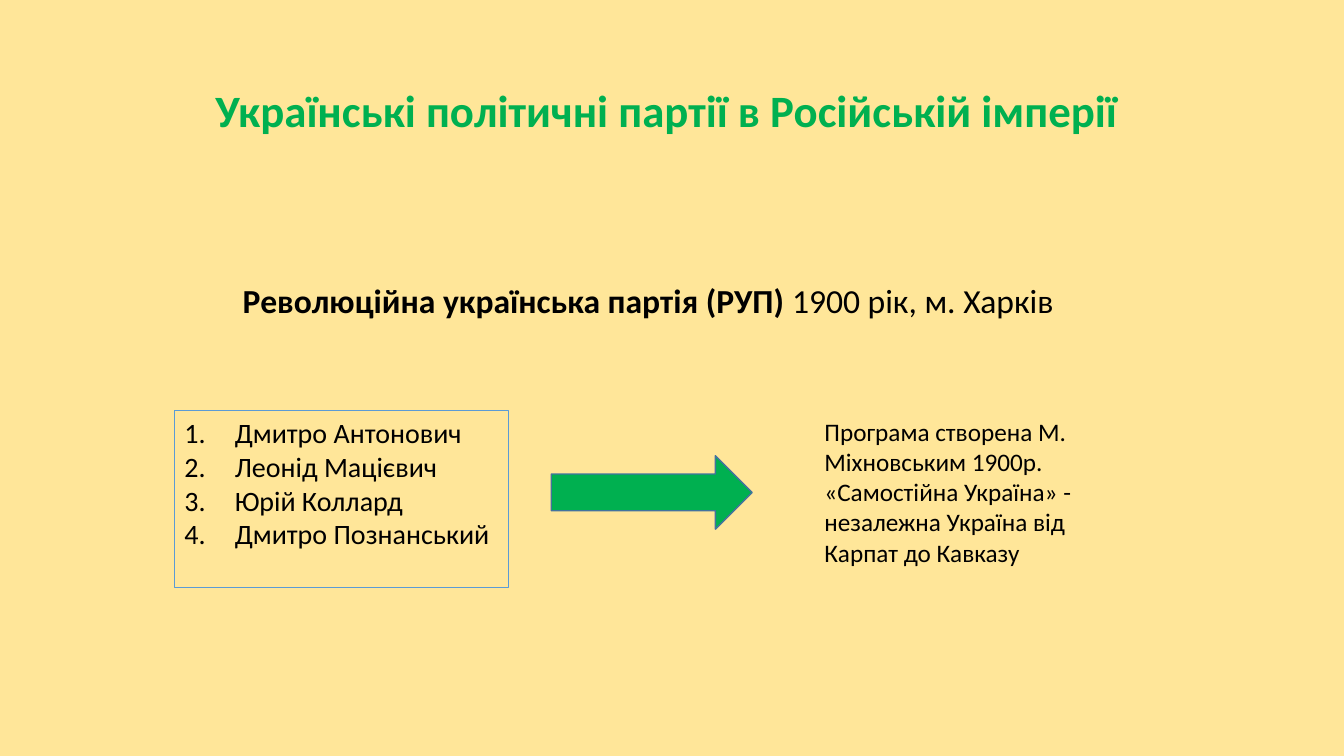
from lxml import etree
from pptx import Presentation
from pptx.dml.color import RGBColor
from pptx.enum.shapes import MSO_SHAPE
from pptx.enum.text import MSO_ANCHOR, MSO_AUTO_SIZE, PP_ALIGN
from pptx.oxml.ns import qn
from pptx.util import Pt

ARROW = MSO_SHAPE.RIGHT_ARROW
TOP, MIDDLE = MSO_ANCHOR.TOP, MSO_ANCHOR.MIDDLE
FIXED = MSO_AUTO_SIZE.NONE
LEFT, CENTER = PP_ALIGN.LEFT, PP_ALIGN.CENTER

FONT = "Calibri"
SAND, GREEN, BLACK = "FFE699", "00B050", "000000"
BLUE, NAVY = "5B9BD5", "43739E"

TITLE = "Українські політичні партії в Російській імперії "
PARTY = "Революційна українська партія (РУП) "
PLACE = "1900 рік, м. Харків"
NAMES = ["Дмитро Антонович", "Леонід Мацієвич", "Юрій Коллард", "Дмитро Познанський"]
GOAL = ("Програма створена М. Міхновським 1900р. «Самостійна Україна» - "
        "незалежна Україна від Карпат до Кавказу")


def paint(color, shade):
    color.rgb = RGBColor.from_string(shade)


def fill(part, shade):
    part.fill.solid()
    paint(part.fill.fore_color, shade)


def outline(shape, shade, width):
    fill(shape.line, shade)
    shape.line.width = Pt(width)


def put(shape, box):
    shape.left, shape.top, shape.width, shape.height = map(Pt, box)


def setup(shape, anchor=TOP):
    frame = shape.text_frame
    frame.word_wrap = True
    frame.auto_size = FIXED
    frame.vertical_anchor = anchor
    return frame


def write(para, text, size, shade=BLACK, bold=False):
    run = para.add_run()
    run.text = text
    font = run.font
    font.name, font.size, font.bold = FONT, Pt(size), bold
    paint(font.color, shade)


def add_title(slide, box):
    shape = slide.shapes.title
    put(shape, box)
    para = setup(shape, MIDDLE).paragraphs[0]
    para.alignment = CENTER
    para.line_spacing = 0.9
    write(para, TITLE, 32, GREEN, True)


def add_text(slide, box, parts, size):
    shape = slide.shapes.add_textbox(*map(Pt, box))
    para = setup(shape).paragraphs[0]
    for text, bold in parts:
        write(para, text, size, bold=bold)


def number(para, indent):
    props = para._p.get_or_add_pPr()
    props.set("marL", str(Pt(indent)))
    props.set("indent", str(-Pt(indent)))
    etree.SubElement(props, qn("a:buFont"), typeface="+mj-lt")
    etree.SubElement(props, qn("a:buAutoNum"), type="arabicPeriod")


def add_list(slide, box):
    shape = slide.placeholders[1]
    put(shape, box)
    outline(shape, BLUE, 0.75)
    frame = setup(shape)
    for i, name in enumerate(NAMES):
        para = frame.add_paragraph() if i else frame.paragraphs[0]
        number(para, 36)
        para.alignment = LEFT
        para.space_before = Pt(0)
        para.line_spacing = 1.0
        write(para, name, 20)


def add_arrow(slide, box):
    shape = slide.shapes.add_shape(ARROW, *map(Pt, box))
    shape.shadow.inherit = False
    fill(shape, GREEN)
    outline(shape, NAVY, 1)


def main():
    deck = Presentation()
    deck.slide_width, deck.slide_height = Pt(960), Pt(540)
    slide = deck.slides.add_slide(deck.slide_layouts[1])
    fill(slide.background, SAND)
    add_title(slide, (66, 28.8, 828, 104.4))
    add_text(slide, (166.3, 196.5, 728, 65.5), [(PARTY, True), (PLACE, False)], 24)
    add_list(slide, (124.5, 293.5, 239, 126))
    add_arrow(slide, (393.8, 325.5, 143.5, 52.5))
    add_text(slide, (581.8, 293.5, 210, 116.6), [(GOAL, False)], 18)
    deck.save("out.pptx")


if __name__ == "__main__":
    main()
